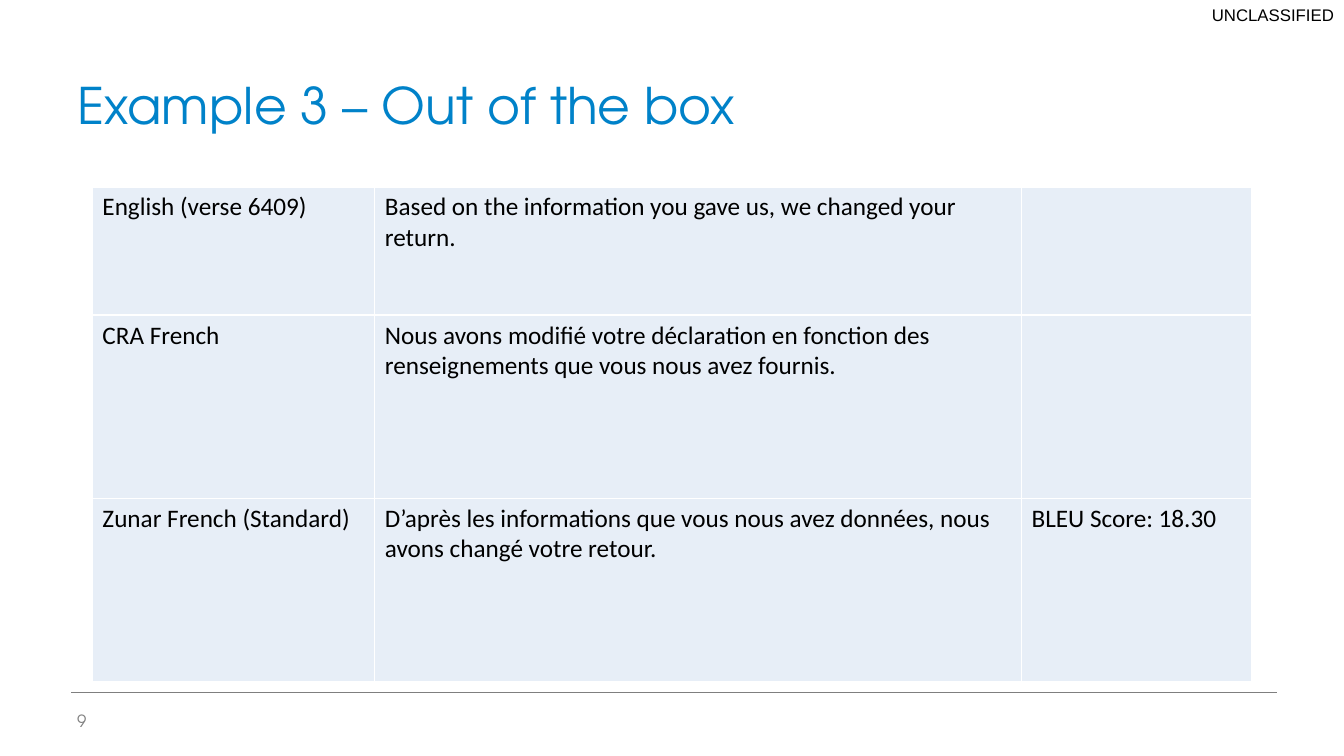
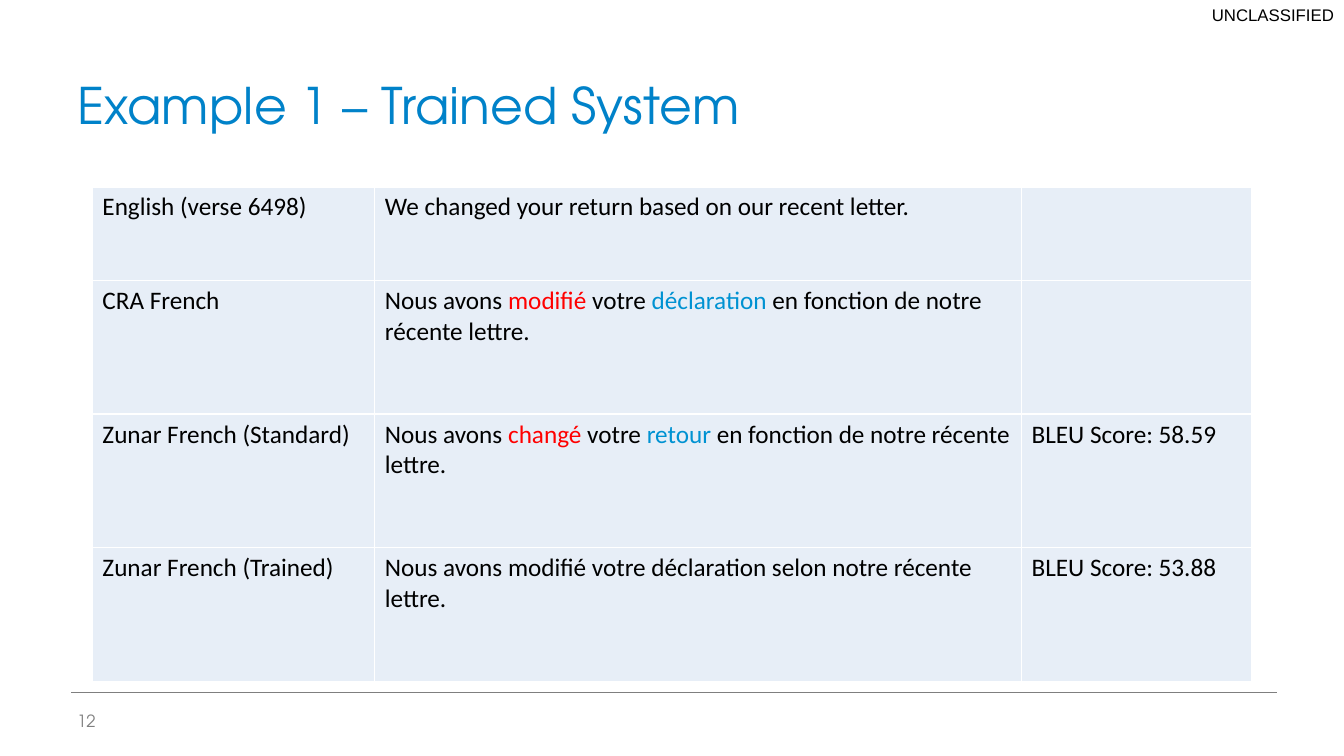
from dataclasses import dataclass

import lxml.etree
import pptx
import pptx.dml.color
import pptx.enum.shapes
import pptx.enum.text
import pptx.oxml.ns
import pptx.util

PX = 9525
SLIDE_SIZE = (1280, 720)
ALIGN = pptx.enum.text.PP_ALIGN
ANCHOR = pptx.enum.text.MSO_ANCHOR

MARKING = "UNCLASSIFIED"
SLIDES = [
    {
        "title": "Example 3 – Out of the box",
        "number": "9",
        "first_row_height": 122,
        "rows": [
            ("English (verse 6409)",
             "Based on the information you gave us, we changed your return.", ""),
            ("CRA French",
             "Nous avons modifié votre déclaration en fonction des "
             "renseignements que vous nous avez fournis.", ""),
            ("Zunar French (Standard)",
             "D’après les informations que vous nous avez données, nous "
             "avons changé votre retour.", "BLEU Score: 18.30"),
        ],
    },
    {
        "title": "Example 1 – Trained System",
        "number": "12",
        "first_row_height": 89,
        "rows": [
            ("English (verse 6498)",
             "We changed your return based on our recent letter.", ""),
            ("CRA French",
             [("Nous avons ", "text"), ("modifié", "verb"), (" votre ", "text"),
              ("déclaration", "noun"),
              (" en fonction de notre récente lettre.", "text")], ""),
            ("Zunar French (Standard)",
             [("Nous avons ", "text"), ("changé", "verb"), (" votre ", "text"),
              ("retour", "noun"),
              (" en fonction de notre récente lettre.", "text")],
             "BLEU Score: 58.59"),
            ("Zunar French (Trained)",
             "Nous avons modifié votre déclaration selon notre récente lettre.",
             "BLEU Score: 53.88"),
        ],
    },
]

MARKING_BOX = (0, 0, 1280, 29)
TITLE_BOX = (64, 29, 1152, 104)
NUMBER_BOX = (64, 667, 137, 38)
FOOTER_RULE = (68, 659, 1216, 659)
TABLE_BOX = (88, 178, 1104, 471)
COLUMN_WIDTHS = (269, 616, 219)


@dataclass(frozen=True)
class Theme:
    text: str = "000000"
    verb: str = "FF0000"
    noun: str = "0092D2"
    title: str = "0082C9"
    muted: str = "7F7F7F"
    cell: str = "E7EEF7"
    border: str = "FFFFFF"
    display_font: str = "TeX Gyre Adventor"
    body_font: str = "Calibri"
    marking_font: str = "Arial"
    title_size: int = 36
    body_size: int = 18
    small_size: int = 12
    rule_width: float = 0.25
    border_width: int = 1


THEME = Theme()


def emu(lengths):
    return [round(length * PX) for length in lengths]


def rgb(role):
    return pptx.dml.color.RGBColor.from_string(getattr(THEME, role))


def add_run(paragraph, text, font_name, size, role):
    run = paragraph.add_run()
    run.text = text
    for name, value in {"name": font_name, "size": pptx.util.Pt(size)}.items():
        setattr(run.font, name, value)
    run.font.color.rgb = rgb(role)


def add_label(slide, box, text, font_name, size, role, anchor, align=ALIGN.LEFT):
    frame = slide.shapes.add_textbox(*emu(box)).text_frame
    for name, value in {"word_wrap": True, "vertical_anchor": anchor}.items():
        setattr(frame, name, value)
    paragraph = frame.paragraphs[0]
    paragraph.alignment = align
    add_run(paragraph, text, font_name, size, role)


def add_footer_rule(slide):
    rule = slide.shapes.add_connector(
        pptx.enum.shapes.MSO_CONNECTOR.STRAIGHT, *emu(FOOTER_RULE))
    rule.line.color.rgb = rgb("muted")
    rule.line.width = pptx.util.Pt(THEME.rule_width)
    properties = rule._element.spPr
    lxml.etree.SubElement(properties, pptx.oxml.ns.qn("a:effectLst"))


def add_borders(cell):
    qn = pptx.oxml.ns.qn
    properties = cell._tc.get_or_add_tcPr()
    for side in ("lnL", "lnR", "lnT", "lnB"):
        edge = lxml.etree.SubElement(
            properties, qn("a:" + side), w=str(pptx.util.Pt(THEME.border_width)))
        fill = lxml.etree.SubElement(edge, qn("a:solidFill"))
        lxml.etree.SubElement(fill, qn("a:srgbClr"), val=THEME.border)


def fill_cell(cell, content):
    """Write a plain string or a list of (text, colour role) pairs."""
    add_borders(cell)
    cell.fill.solid()
    cell.fill.fore_color.rgb = rgb("cell")
    parts = [(content, "text")] if isinstance(content, str) else content
    for text, role in parts:
        if text:
            add_run(cell.text_frame.paragraphs[0], text,
                    THEME.body_font, THEME.body_size, role)


def add_translations(slide, rows, first_row_height):
    """The first row has its own height; the others share the rest equally."""
    table = slide.shapes.add_table(
        len(rows), len(COLUMN_WIDTHS), *emu(TABLE_BOX)).table
    for name in ("first_row", "horz_banding"):
        setattr(table, name, False)
    for column, width in zip(table.columns, emu(COLUMN_WIDTHS)):
        column.width = width
    other_count = len(rows) - 1
    other_height = (TABLE_BOX[3] - first_row_height) / other_count
    heights = [first_row_height] + [other_height] * other_count
    for row, height, contents in zip(table.rows, emu(heights), rows):
        row.height = height
        for cell, content in zip(row.cells, contents):
            fill_cell(cell, content)


def add_frame(slide, title, number):
    """Marking, footer rule, title and page number."""
    add_label(slide, MARKING_BOX, MARKING, THEME.marking_font,
              THEME.small_size, "text", ANCHOR.TOP, ALIGN.RIGHT)
    add_footer_rule(slide)
    add_label(slide, TITLE_BOX, title, THEME.display_font,
              THEME.title_size, "title", ANCHOR.BOTTOM)
    add_label(slide, NUMBER_BOX, number, THEME.display_font,
              THEME.small_size, "muted", ANCHOR.MIDDLE)


def main():
    deck = pptx.Presentation()
    deck.slide_width, deck.slide_height = emu(SLIDE_SIZE)
    for content in SLIDES:
        slide = deck.slides.add_slide(deck.slide_layouts[6])
        add_frame(slide, content["title"], content["number"])
        add_translations(slide, content["rows"], content["first_row_height"])
    deck.save("out.pptx")


if __name__ == "__main__":
    main()
